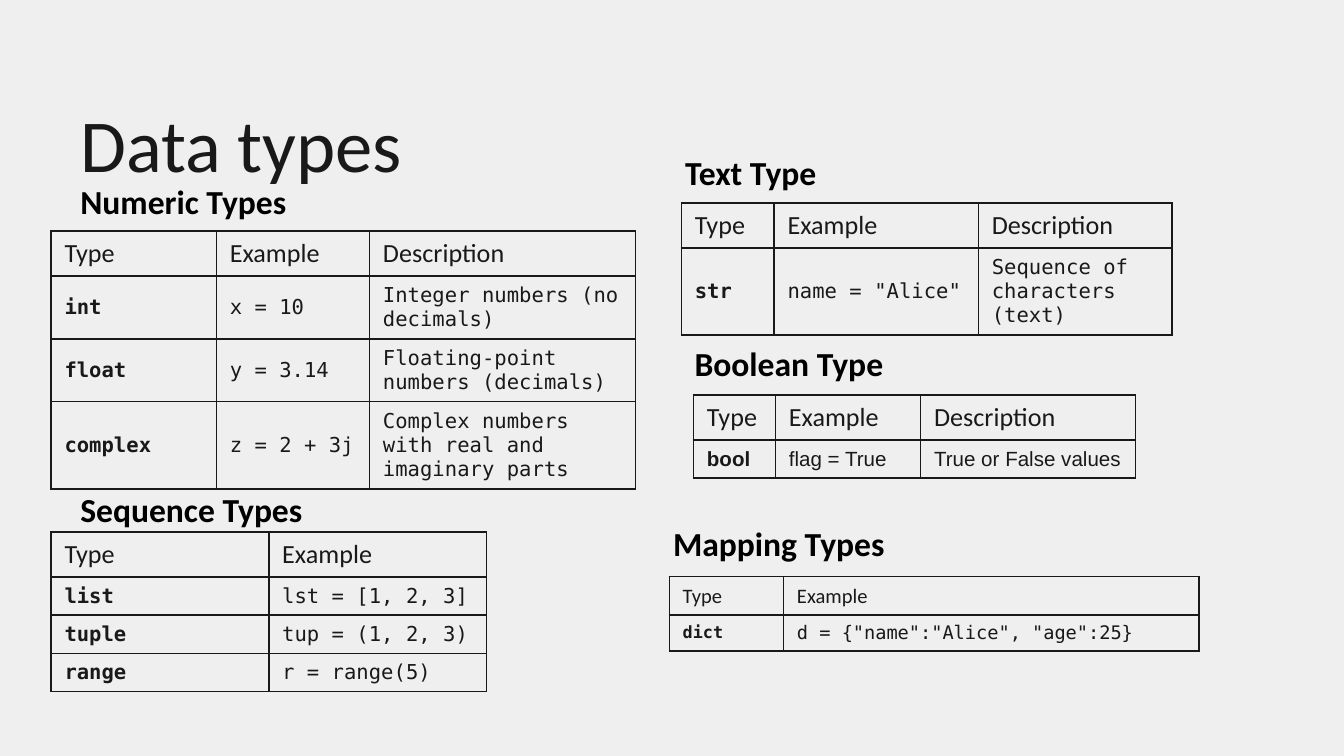
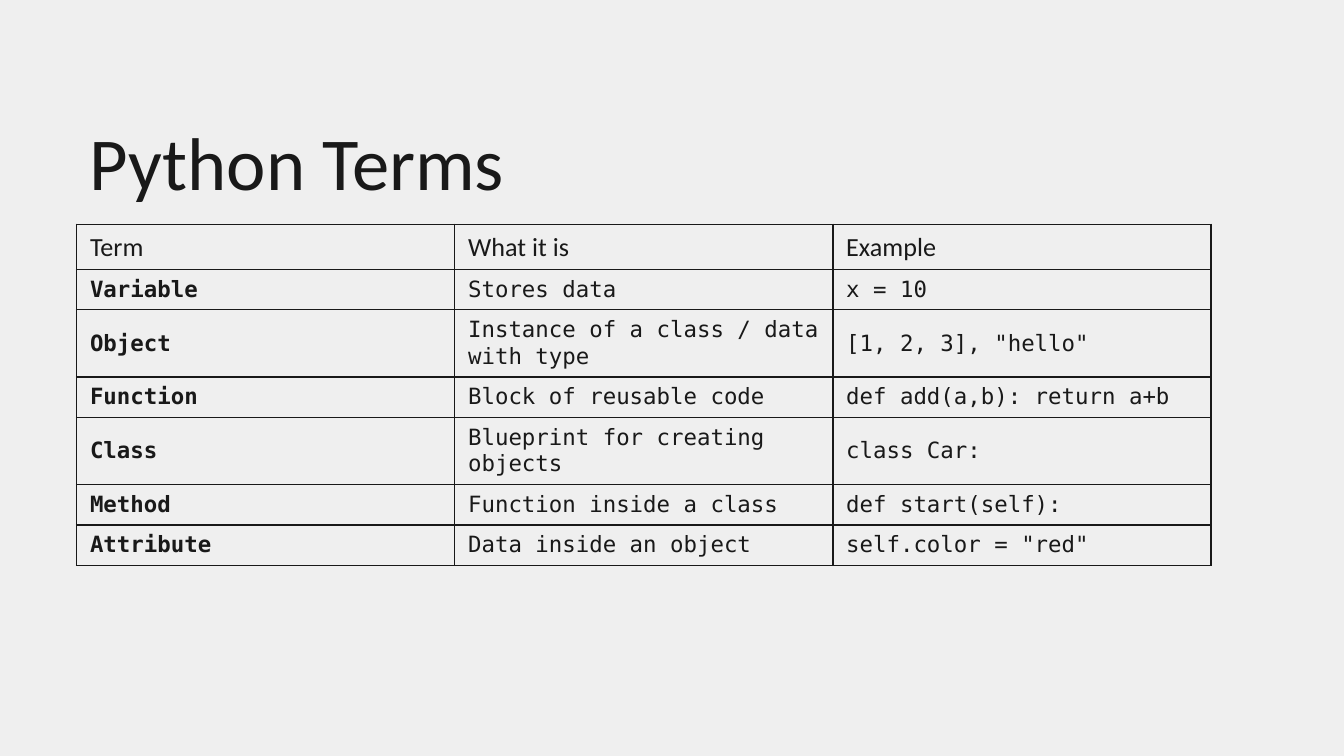
from dataclasses import dataclass

from lxml.etree import SubElement
from pptx import Presentation
from pptx.dml.color import RGBColor
from pptx.enum.text import MSO_ANCHOR as Anchor, MSO_AUTO_SIZE as AutoSize
from pptx.oxml.ns import qn
from pptx.util import Inches, Pt


@dataclass(frozen=True)
class Theme:
    background: str = "EFEFEF"
    ink: str = "191919"
    heading_ink: str = "000000"
    heading_font: str = "Calibri"
    code_font: str = "DejaVu Sans Mono"
    plain_font: str = "Arial"
    title_size: int = 40
    heading_size: int = 18
    header_size: int = 14
    border_width: int = 1


theme = Theme()


def add_text(slide, text, left, top, width, height, size, color, bold=False):
    shape = slide.shapes.add_textbox(Inches(left), Inches(top), Inches(width), Inches(height))
    frame = shape.text_frame
    frame.word_wrap = True
    frame.text = text
    font = frame.paragraphs[0].font
    font.name, font.size, font.bold = theme.heading_font, Pt(size), bold
    font.color.rgb = RGBColor.from_string(color)
    return frame


def add_grid(slide, left, top, widths, heights, rows, sizes, body_font=theme.code_font):
    """Add a bordered table; sizes are for the header, first column and other cells."""
    frame = slide.shapes.add_table(len(rows), len(widths), Inches(left), Inches(top),
                                   Inches(sum(widths)), Inches(sum(heights)))
    table = frame.table
    table.first_row = table.horz_banding = False
    for column, width in zip(table.columns, widths):
        column.width = Inches(width)
    for row, height in zip(table.rows, heights):
        row.height = Inches(height)
    header_size, key_size, body_size = sizes
    for row_index, row in enumerate(rows):
        for column_index, text in enumerate(row):
            cell = table.cell(row_index, column_index)
            cell.text = text
            cell.vertical_anchor = Anchor.MIDDLE
            # Text style
            is_header, is_key = row_index == 0, column_index == 0
            font = cell.text_frame.paragraphs[0].font
            font.name = theme.heading_font if is_header else body_font
            font.size = Pt(header_size if is_header else key_size if is_key else body_size)
            font.bold = is_key and not is_header
            font.color.rgb = RGBColor.from_string(theme.ink)
            # Borders come before the fill in the cell properties
            properties = cell._tc.get_or_add_tcPr()
            for side in ("lnL", "lnR", "lnT", "lnB"):
                line = SubElement(properties, qn(f"a:{side}"), w=str(Pt(theme.border_width)))
                fill = SubElement(line, qn("a:solidFill"))
                SubElement(fill, qn("a:srgbClr"), val=theme.ink)
            cell.fill.background()


# Widescreen page, 16:9
presentation = Presentation()
presentation.slide_width = Inches(10)
presentation.slide_height = Inches(10 * 9 / 16)

# Slides with their background and title
slides = []
for title, left, top in [("Data types", 0.5, 0.63), ("Python Terms", 0.57, 0.76)]:
    slide = presentation.slides.add_slide(presentation.slide_layouts[6])
    slide.background.fill.solid()
    slide.background.fill.fore_color.rgb = RGBColor.from_string(theme.background)
    frame = add_text(slide, title, left, top, 8.6, 0.76, theme.title_size, theme.ink)
    frame.margin_left = frame.margin_right = Inches(0.1)
    frame.margin_top = frame.margin_bottom = Inches(0.1)
    slides.append(slide)
types_slide, terms_slide = slides

# Data types: section headings
for heading, left, top in [
    ("Numeric Types", 0.5, 1.3),
    ("Text Type", 5, 1.08),
    ("Boolean Type", 5.07, 2.5),
    ("Sequence Types", 0.5, 3.59),
    ("Mapping Types", 4.91, 3.84),
]:
    frame = add_text(types_slide, heading, left, top, 1.96, 0.4,
                     theme.heading_size, theme.heading_ink, bold=True)
    frame.auto_size = AutoSize.SHAPE_TO_FIT_TEXT

# Data types: tables
short_header = ("Type", "Example")
full_header = (*short_header, "Description")
type_sizes = (theme.header_size, 11, 11)

add_grid(types_slide, 0.38, 1.72, [1.23, 1.14, 1.98], [0.33, 0.45, 0.45, 0.63], [
    full_header,
    ("int", "x = 10", "Integer numbers (no decimals)"),
    ("float", "y = 3.14", "Floating-point numbers (decimals)"),
    ("complex", "z = 2 + 3j", "Complex numbers with real and imaginary parts"),
], type_sizes)

add_grid(types_slide, 5.07, 1.51, [0.69, 1.52, 1.44], [0.33, 0.65], [
    full_header,
    ("str", 'name = "Alice"', "Sequence of characters (text)"),
], type_sizes)

add_grid(types_slide, 5.16, 2.94, [0.61, 1.08, 1.6], [0.33, 0.28], [
    full_header,
    ("bool", "flag = True", "True or False values"),
], type_sizes, theme.plain_font)

add_grid(types_slide, 4.98, 4.29, [0.85, 3.09], [0.28, 0.27], [
    short_header,
    ("dict", 'd = {"name":"Alice", "age":25}'),
], (11, 9, 10))

add_grid(types_slide, 0.38, 3.96, [1.62] * 2, [0.33] + [0.28] * 3, [
    short_header,
    ("list", "lst = [1, 2, 3]"),
    ("tuple", "tup = (1, 2, 3)"),
    ("range", "r = range(5)"),
], type_sizes)

# Python terms: table
add_grid(terms_slide, 0.57, 1.67, [8.44 / 3] * 3, [0.33, 0.29, 0.49, 0.29, 0.49, 0.29, 0.29], [
    ("Term", "What it is", "Example"),
    ("Variable", "Stores data", "x = 10"),
    ("Object", "Instance of a class / data with type", '[1, 2, 3], "hello"'),
    ("Function", "Block of reusable code", "def add(a,b): return a+b"),
    ("Class", "Blueprint for creating objects", "class Car:"),
    ("Method", "Function inside a class", "def start(self):"),
    ("Attribute", "Data inside an object", 'self.color = "red"'),
], (theme.header_size, 12, 12))

presentation.save("out.pptx")
